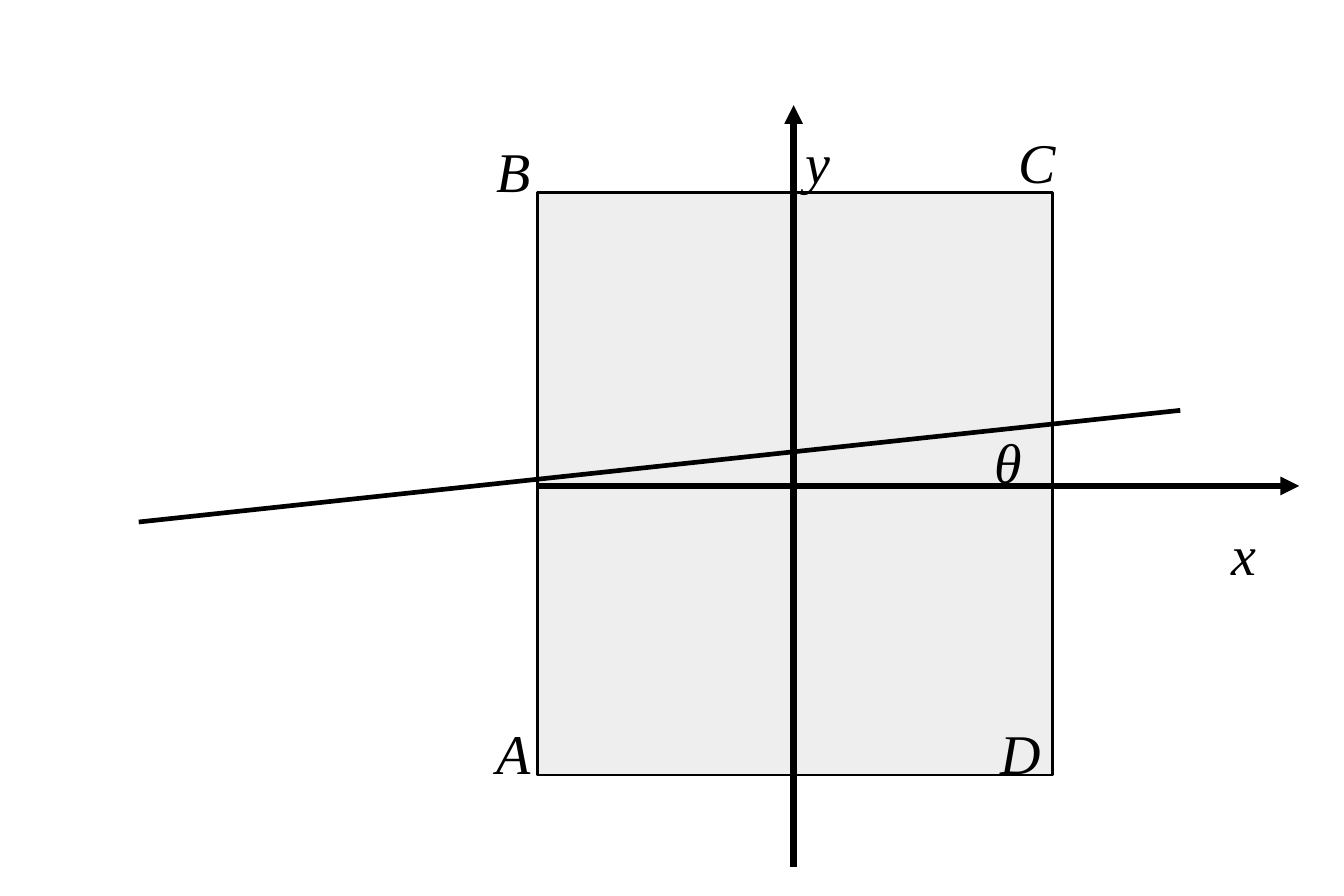
"""Build a slide of a rectangle ABCD on x-y axes, cut by a line at angle θ."""
from lxml import etree
from pptx import Presentation
from pptx.dml.color import RGBColor
from pptx.enum.shapes import MSO_CONNECTOR as CONN, MSO_SHAPE as SHAPE
from pptx.enum.text import MSO_AUTO_SIZE as AUTO
from pptx.oxml.ns import qn
from pptx.util import Pt

COLORS = {"ink": "000000", "area": "EEEEEE"}
FONT = "Times New Roman"
HAIRLINE = 0
LABEL_W, LABEL_H = 28.8, 27.4
LEFT_X, BOTTOM_Y = 152.6, 227.5
LABELS = [
    ("x", 388.8, 163.4),
    ("y", 252, 37.4),
    ("θ", 312.5, 133.9),
    ("A", LEFT_X, BOTTOM_Y),
    ("B", LEFT_X, 40.3),
    ("C", 320.4, 37.4),
    ("D", 314.6, BOTTOM_Y),
]


def color(name):
    return RGBColor.from_string(COLORS[name])


def add_area(s, x, y, w, h):
    sp = s.shapes.add_shape(SHAPE.RECTANGLE, Pt(x), Pt(y), Pt(w), Pt(h))
    sp.shadow.inherit = False
    sp.fill.solid()
    sp.fill.fore_color.rgb = color("area")
    sp.line.color.rgb = color("ink")
    sp.line.width = Pt(HAIRLINE)


def add_line(s, start, end, width=HAIRLINE, arrow=False):
    ends = [Pt(v) for v in (*start, *end)]
    cxn = s.shapes.add_connector(CONN.STRAIGHT, *ends)
    cxn.line.color.rgb = color("ink")
    cxn.line.width = Pt(width)
    if arrow:
        ln = cxn.line._get_or_add_ln()
        etree.SubElement(ln, qn("a:tailEnd"), type="triangle")
    etree.SubElement(cxn._element.spPr, qn("a:effectLst"))


def add_label(s, text, x, y):
    sp = s.shapes.add_textbox(Pt(x), Pt(y), Pt(LABEL_W), Pt(LABEL_H))
    tf = sp.text_frame
    tf.word_wrap = True
    tf.auto_size = AUTO.SHAPE_TO_FIT_TEXT
    r = tf.paragraphs[0].add_run()
    r.text = text
    r.font.name = FONT
    r.font.size = Pt(18)
    r.font.italic = True
    r.font.color.rgb = color("ink")


def main():
    prs = Presentation()
    prs.slide_width, prs.slide_height = Pt(432), Pt(288)
    s = prs.slides.add_slide(prs.slide_layouts[6])
    add_area(s, 172.8, 61.9, 165.6, 187.2)
    add_line(s, (255.1, 278.6), (255.1, 33.8), arrow=True)
    add_line(s, (172.8, 156.2), (417.6, 156.2), arrow=True)
    add_line(s, (44.6, 167.8), (379.4, 131.9), width=1.5)
    for text, x, y in LABELS:
        add_label(s, text, x, y)
    prs.save("out.pptx")


if __name__ == "__main__":
    main()
